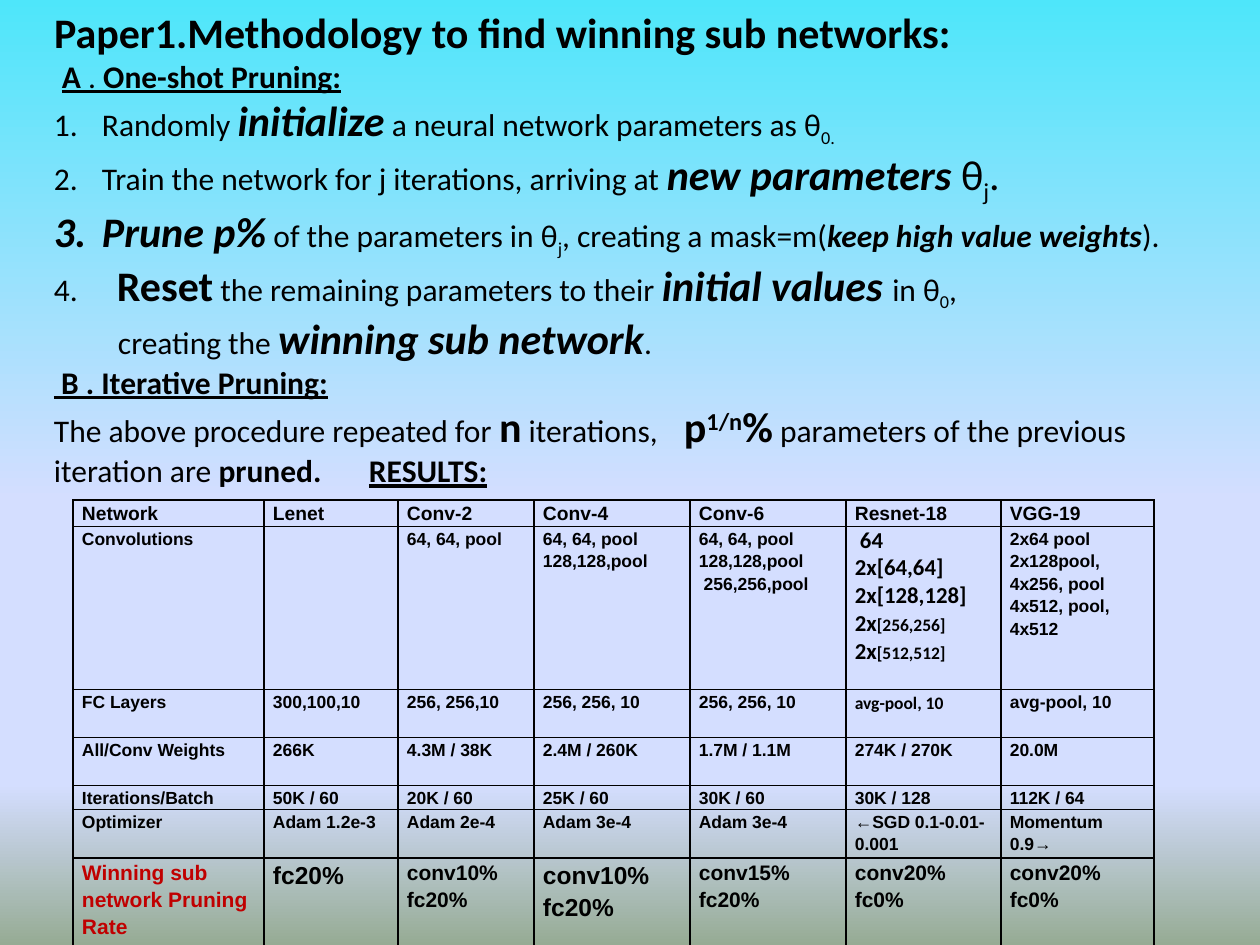
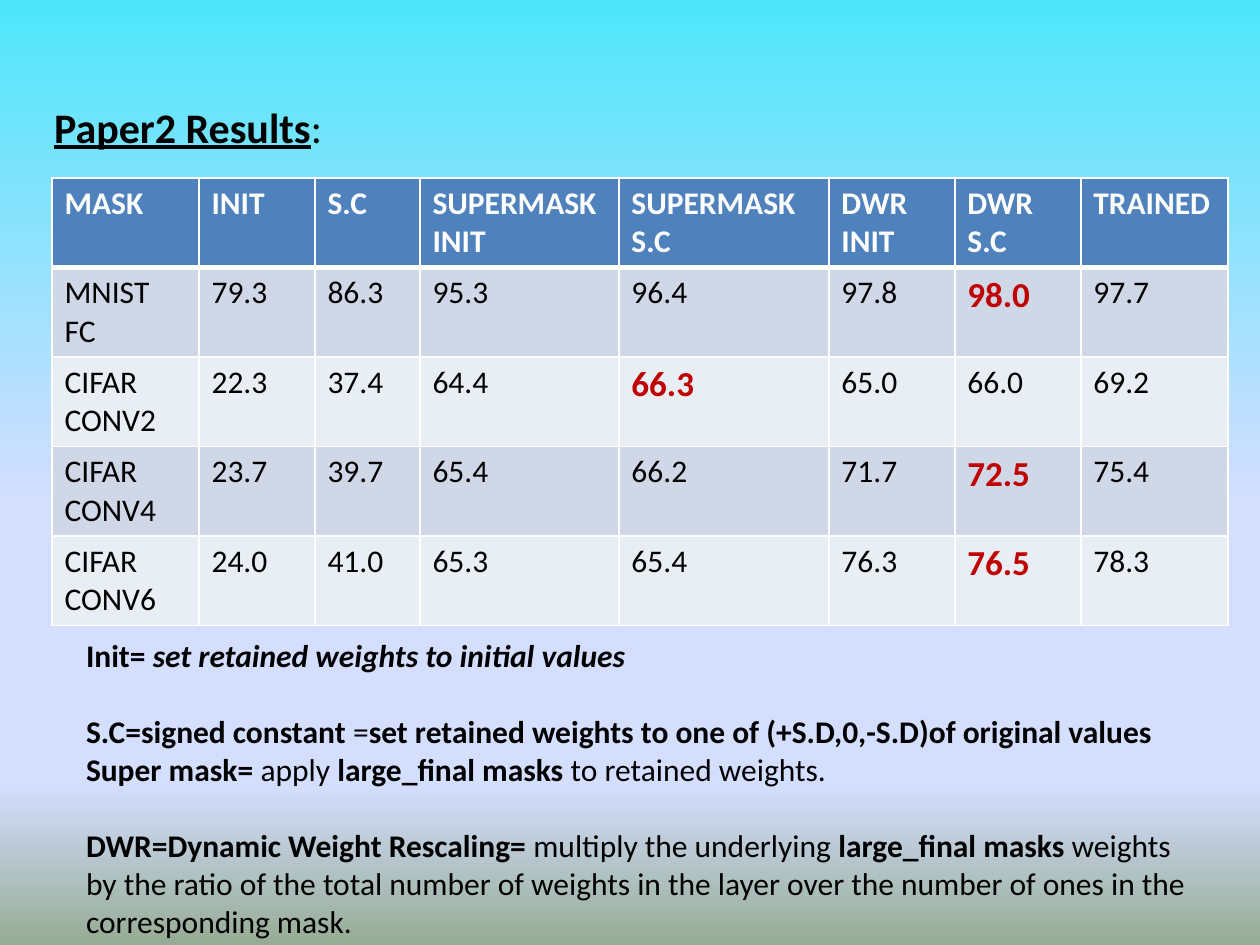
from lxml.etree import SubElement
from pptx import Presentation
from pptx.dml.color import RGBColor
from pptx.enum.text import MSO_ANCHOR, PP_ALIGN
from pptx.oxml.ns import qn
from pptx.util import Emu, Pt

PIXEL = 914400 // 126
BLACK = RGBColor(0x00, 0x00, 0x00)
WHITE = RGBColor(0xFF, 0xFF, 0xFF)
RED = RGBColor(0xC0, 0x00, 0x00)
HEADER_BLUE = RGBColor(0x4F, 0x81, 0xBD)
BAND_DARK = RGBColor(0xD0, 0xD8, 0xE8)
BAND_LIGHT = RGBColor(0xE9, 0xED, 0xF4)
SKY = [
    (0, RGBColor(0x4E, 0xE6, 0xFA)),
    (53, RGBColor(0xD4, 0xDE, 0xFF)),
    (83, RGBColor(0xD4, 0xDE, 0xFF)),
    (100, RGBColor(0x96, 0xAB, 0x94)),
]
TEXT_LEFT = 54
TITLE_SIZE = 24
BODY_SIZE = 18

BOLD = {"bold": True}
UNDERLINED = {"bold": True, "underline": True}
EMPHASIS = {"bold": True, "italic": True}
BIG = {"bold": True, "size": 24}
BIG_EMPHASIS = {"bold": True, "italic": True, "size": 24}
SUBSCRIPT = {"baseline": -25}
CALIBRI = {"font": "Calibri"}
CALIBRI_LARGE = {"font": "Calibri", "size": 13}
BEST = {"bold": True, "size": 20, "color": RED}

METHOD = [
    ([("A ", UNDERLINED), (". ", {"underline": True}), ("One-shot Pruning:", UNDERLINED)],
     {"left": 8}),
    (["Randomly ", ("initialize", BIG_EMPHASIS), " a neural network parameters as θ",
      ("0.", SUBSCRIPT)], {"number": 1}),
    (["Train the network for j iterations, arriving at ", ("new parameters ", BIG_EMPHASIS),
      ("θ", {"size": 24}), ("j", {"size": 24, "baseline": -25}), (".", {"size": 24})],
     {"number": 2}),
    ([("Prune p%", BIG_EMPHASIS), " of the parameters in θ", ("j", SUBSCRIPT),
      ", creating a mask=m(", ("keep high value weights", EMPHASIS), ")."], {"number": 3}),
    (["4.\t", ("Reset", BIG), " the remaining parameters to their ",
      ("initial values ", BIG_EMPHASIS), "in θ", ("0", SUBSCRIPT), ","], {"tab": 60}),
    (["creating the ", ("winning sub network", BIG_EMPHASIS), "."], {"left": 64}),
    ([(" ", {"underline": True}), ("B . Iterative Pruning:", UNDERLINED)], {}),
    (["The above procedure repeated for ", ("n", BIG), " iterations,\t", ("p", BIG),
      ("1/n", {**BIG, "baseline": 30}), ("%", BIG), " parameters of the previous"],
     {"tab": 626}),
    (["iteration are ", ("pruned.\t", BOLD), ("RESULTS:", UNDERLINED)], {"tab": 482}),
]

NETWORK_COLUMNS = [191, 134, 136, 156, 156, 155, 153]
NETWORK_HEIGHTS = [26, 163, 48, 48, 24, 48, 88]
NETWORK_SIZES = [11, 10, 10, 10, 10, 10, 12]
NETWORK_ROWS = [
    ["Network", "Lenet", "Conv-2", "Conv-4", "Conv-6", "Resnet-18", "VGG-19"],
    ["Convolutions", "", "64, 64, pool", "64, 64, pool 128,128,pool",
     [["64, 64, pool"], ["128,128,pool"], [" 256,256,pool"]],
     [[(" 64", CALIBRI_LARGE)],
      [("2x[64,64]", CALIBRI_LARGE)],
      [("2x[128,128]", CALIBRI_LARGE)],
      [("2x", CALIBRI_LARGE), ("[256,256]", CALIBRI)],
      [("2x", CALIBRI_LARGE), ("[512,512]", CALIBRI)]],
     [["2x64 pool 2x128pool, 4x256, pool"], ["4x512, pool, 4x512"]]],
    ["FC Layers", "300,100,10", "256, 256,10", "256, 256, 10", "256, 256, 10",
     [[("avg-pool, 10", CALIBRI)]], "avg-pool, 10"],
    ["All/Conv Weights", "266K", "4.3M / 38K", "2.4M / 260K", "1.7M / 1.1M",
     "274K / 270K", "20.0M"],
    ["Iterations/Batch", "50K / 60", "20K / 60", "25K / 60", "30K / 60", "30K / 128",
     "112K / 64"],
    ["Optimizer", "Adam 1.2e-3", "Adam 2e-4", "Adam 3e-4", "Adam 3e-4",
     "←SGD 0.1-0.01-0.001", "Momentum 0.9→"],
    [[[("Winning sub network Pruning Rate", {"color": RED})]],
     [[("fc20%", {"size": 14})]], "conv10% fc20%", [[("conv10% fc20%", {"size": 14})]],
     "conv15% fc20%", "conv20% fc0%", "conv20% fc0%"],
]

MASK_COLUMNS = [147, 116, 105, 199, 210, 126, 126, 147]
MASK_ROW_HEIGHT = 88
MASK_ROWS = [
    ["MASK", "INIT", "S.C", [["SUPERMASK"], ["INIT"]], [["SUPERMASK"], ["S.C"]],
     [["DWR"], ["INIT"]], [["DWR"], ["S.C"]], "TRAINED"],
    ["MNIST FC", "79.3", "86.3", "95.3", "96.4", "97.8", [[("98.0", BEST)]], "97.7"],
    ["CIFAR CONV2", "22.3", "37.4", "64.4", [[("66.3", BEST)]], "65.0", "66.0", "69.2"],
    ["CIFAR CONV4", "23.7", "39.7", "65.4", "66.2", "71.7", [[("72.5", BEST)]], "75.4"],
    ["CIFAR CONV6", "24.0", "41.0", "65.3", "65.4", "76.3", [[("76.5", BEST)]], "78.3"],
]

DEFINITIONS = [
    ([("Init= ", BOLD), ("set retained weights to initial values", EMPHASIS)], {}),
    ([("S.C=signed constant", BOLD), " =",
      ("set retained weights to one of (+S.D,0,-S.D)of original values", BOLD)],
     {"before": 22}),
    ([("Super mask= ", BOLD), "apply ", ("large_final masks", BOLD),
      " to retained weights."], {}),
    ([("DWR=Dynamic Weight Rescaling=", BOLD), " multiply the underlying ",
      ("large_final masks", BOLD),
      " weights by the ratio of the total number of weights in the layer over the number"
      " of ones in the corresponding mask."], {"before": 22}),
]


def pixels(count):
    """Turn picture pixels into EMU."""
    return Emu(count * PIXEL)


def add_run(paragraph, text, size=BODY_SIZE, font="Calibri", color=BLACK, bold=False,
            italic=False, underline=False, baseline=0):
    """Add one formatted run to a paragraph."""
    run = paragraph.add_run()
    run.text = text
    run.font.size = Pt(size)
    run.font.name = font
    run.font.color.rgb = color
    run.font.bold = bold
    run.font.italic = italic
    run.font.underline = underline
    if baseline:
        run.font._element.set("baseline", str(baseline * 1000))


def format_paragraph(paragraph, left=0, number=None, tab=None, before=0, spacing=None):
    """Set the indent, numbering, tab stop and spacing of a paragraph."""
    paragraph.alignment = PP_ALIGN.LEFT
    paragraph.space_before = Pt(before)
    if spacing:
        paragraph.line_spacing = spacing
    properties = paragraph._p.get_or_add_pPr()
    hanging = 48 if number else 0
    properties.set("marL", str(pixels(left + hanging)))
    properties.set("indent", str(pixels(-hanging)))
    if number:
        SubElement(properties, qn("a:buAutoNum"), type="arabicPeriod", startAt=str(number))
    if tab:
        stops = SubElement(properties, qn("a:tabLst"))
        SubElement(stops, qn("a:tab"), pos=str(pixels(tab)), algn="l")


def write_text(frame, paragraphs, **base):
    """Fill a frame with (runs, layout) paragraphs over a base run format."""
    frame.word_wrap = True
    for index, (runs, layout) in enumerate(paragraphs):
        paragraph = frame.add_paragraph() if index else frame.paragraphs[0]
        format_paragraph(paragraph, **layout)
        for run in runs:
            text, style = (run, {}) if isinstance(run, str) else run
            add_run(paragraph, text, **{**base, **style})


def clear_margins(frame):
    """Remove the inner margins of a frame and hold its text at the top."""
    frame.margin_left = frame.margin_right = frame.margin_top = frame.margin_bottom = 0
    frame.vertical_anchor = MSO_ANCHOR.TOP


def add_titled_slide(presentation, top, runs):
    """Add a title-only slide with its title line at the given height."""
    slide = presentation.slides.add_slide(presentation.slide_layouts[5])
    title = slide.shapes.title
    title.left, title.top = pixels(TEXT_LEFT), pixels(top)
    title.width, title.height = pixels(1120), pixels(51)
    clear_margins(title.text_frame)
    write_text(title.text_frame, [(runs, {})], size=TITLE_SIZE)
    return slide


def add_body(slide, left, top, width, height, paragraphs):
    """Add a text box of body paragraphs."""
    box = slide.shapes.add_textbox(*map(pixels, (left, top, width, height)))
    clear_margins(box.text_frame)
    write_text(box.text_frame, paragraphs)


def add_grid(slide, left, top, columns, heights):
    """Add a plain table with the given column widths and row heights."""
    frame = slide.shapes.add_table(len(heights), len(columns), pixels(left), pixels(top),
                                   pixels(sum(columns)), pixels(sum(heights)))
    table = frame.table
    table.first_row = table.horz_banding = False
    for column, width in zip(table.columns, columns):
        column.width = pixels(width)
    for row, height in zip(table.rows, heights):
        row.height = pixels(height)
    return table


def set_borders(cell, color, top=1, bottom=1):
    """Draw the four borders of a cell."""
    properties = cell._tc.get_or_add_tcPr()
    for side, width in (("L", 1), ("R", 1), ("T", top), ("B", bottom)):
        line = SubElement(properties, qn(f"a:ln{side}"), w=str(Pt(width)))
        fill = SubElement(line, qn("a:solidFill"))
        SubElement(fill, qn("a:srgbClr"), val=str(color))


def write_cell(cell, content, spacing=None, **base):
    """Write a string or a list of paragraphs into a cell."""
    paragraphs = [[content]] if isinstance(content, str) else content
    layouts = [{"spacing": spacing}] * len(paragraphs)
    write_text(cell.text_frame, list(zip(paragraphs, layouts)), **base)


def add_network_table(slide):
    """Add the table of network settings and pruning rates."""
    table = add_grid(slide, 73, 500, NETWORK_COLUMNS, NETWORK_HEIGHTS)
    for row, (values, size) in enumerate(zip(NETWORK_ROWS, NETWORK_SIZES)):
        for column, value in enumerate(values):
            cell = table.cell(row, column)
            cell.margin_left = cell.margin_right = pixels(9)
            cell.margin_top = cell.margin_bottom = 0
            set_borders(cell, BLACK)
            cell.fill.background()
            spacing = None if len(value) == 5 and isinstance(value, list) else 1.15
            write_cell(cell, value, spacing, size=size, font="Arial", bold=True)


def add_mask_table(slide):
    """Add the banded table of mask results."""
    table = add_grid(slide, 52, 178, MASK_COLUMNS, [MASK_ROW_HEIGHT] * len(MASK_ROWS))
    for row, values in enumerate(MASK_ROWS):
        header = row == 0
        band = BAND_DARK if row % 2 else BAND_LIGHT
        for column, value in enumerate(values):
            cell = table.cell(row, column)
            set_borders(cell, WHITE, top=3 if row == 1 else 1, bottom=3 if header else 1)
            cell.fill.solid()
            cell.fill.fore_color.rgb = HEADER_BLUE if header else band
            write_cell(cell, value, color=WHITE if header else BLACK, bold=header)


def paint_background(master):
    """Give every slide the vertical sky gradient."""
    fill = master.background.fill
    fill.gradient()
    fill.gradient_angle = 270
    stops = master.element.find(".//" + qn("a:gsLst"))
    for stop in list(stops):
        stops.remove(stop)
    for position, color in SKY:
        stop = SubElement(stops, qn("a:gs"), pos=str(position * 1000))
        SubElement(stop, qn("a:srgbClr"), val=str(color))


def main():
    """Build both slides and save the presentation."""
    presentation = Presentation()
    presentation.slide_width, presentation.slide_height = pixels(1260), pixels(945)
    paint_background(presentation.slide_master)

    method = add_titled_slide(
        presentation, 6, [("Paper1.Methodology to find winning sub networks:", BOLD)])
    add_body(method, TEXT_LEFT, 57, 1160, 434, METHOD)
    add_network_table(method)

    results = add_titled_slide(presentation, 101, [("Paper2 Results", UNDERLINED), ":"])
    add_mask_table(results)
    add_body(results, 86, 636, 1118, 305, DEFINITIONS)
    presentation.save("out.pptx")


main()
